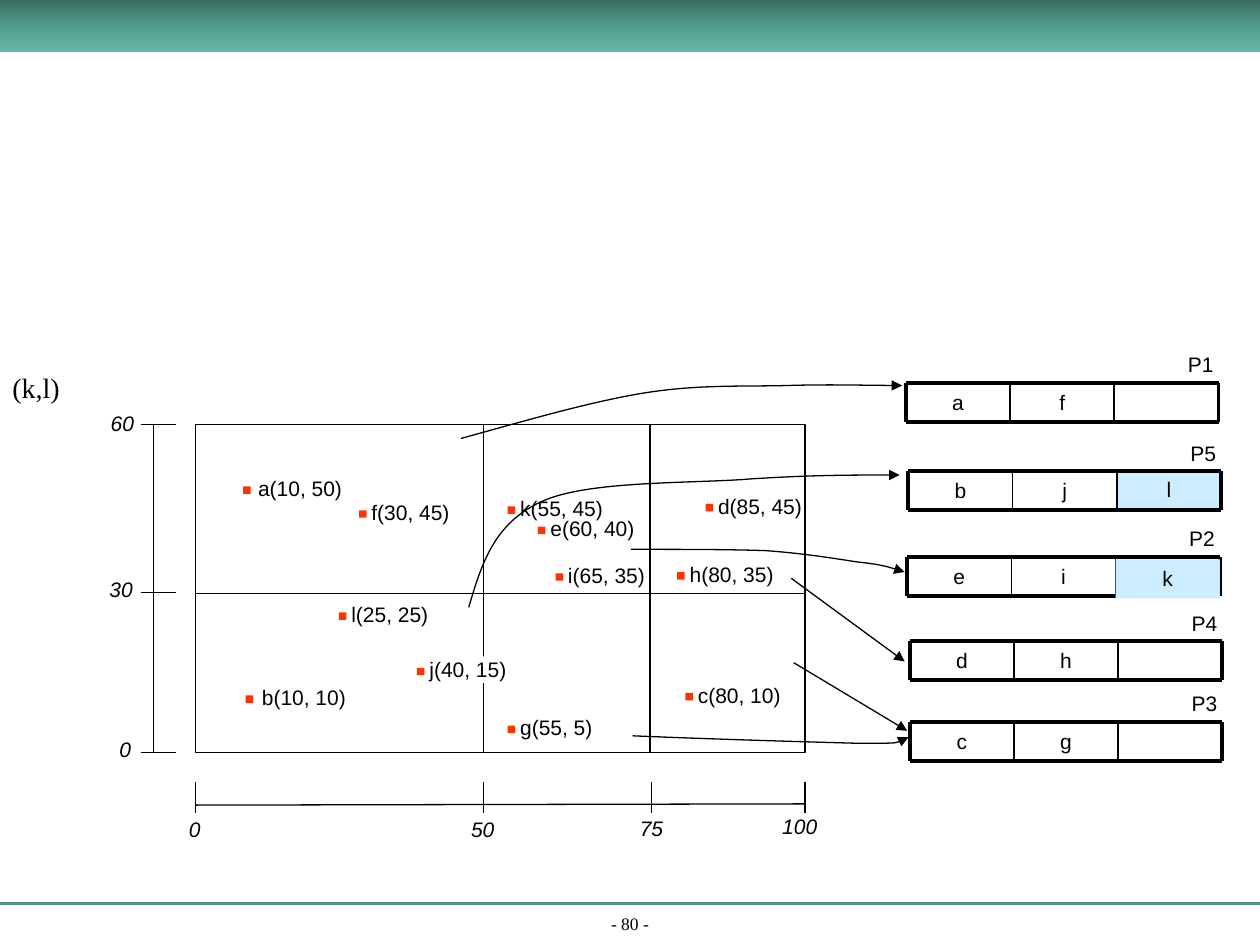
import copy
from dataclasses import dataclass

import pptx
import pptx.dml.color
import pptx.enum.dml
import pptx.enum.shapes
import pptx.enum.text
import pptx.oxml
import pptx.oxml.ns
import pptx.util

COLUMNS, ROWS = 100, 75  # every length below counts columns or rows of this grid
BLACK, WHITE, RED, SKY, TEAL = "000000", "FFFFFF", "FF3300", "CCECFF", "4C9282"
LEFT, RIGHT, TOP, BOTTOM = 15.5, 63.9, 33.7, 59.75
CELL_WIDTH, CELL_HEIGHT = 8.27, 3.1
LABEL_HEIGHT = 3

ALIGN = pptx.enum.text.PP_ALIGN
ANCHOR = pptx.enum.text.MSO_ANCHOR
RECTANGLE = pptx.enum.shapes.MSO_SHAPE.RECTANGLE

deck = pptx.Presentation()
deck.slide_width, deck.slide_height = pptx.util.Inches(10), pptx.util.Inches(7.5)
page = deck.slides.add_slide(deck.slide_layouts[6])


@dataclass
class Point:
    name: str
    column: float
    row: float
    width: float
    label_shift: float = 0


@dataclass
class Bucket:
    name: str
    column: float
    row: float
    records: str
    highlight: str = ""
    highlight_shift: float = 0
    highlight_on_top: bool = False


def across(columns: float) -> int:
    return round(deck.slide_width * columns / COLUMNS)


def down(rows: float) -> int:
    return round(deck.slide_height * rows / ROWS)


def place(column: float, row: float, width: float, height: float) -> tuple:
    return across(column), down(row), across(width), down(height)


def color(value: str) -> pptx.dml.color.RGBColor:
    return pptx.dml.color.RGBColor.from_string(value)


def add_outline(shape, width: float, value: str = BLACK, arrow: bool = False) -> None:
    shape.line.color.rgb = color(value)
    shape.line.width = pptx.util.Pt(width)
    if arrow:
        tail = pptx.oxml.parse_xml(f'<a:tailEnd {pptx.oxml.ns.nsdecls("a")} type="triangle"/>')
        shape.line._get_or_add_ln().append(tail)


def add_line(x1: float, y1: float, x2: float, y2: float, width: float = 0.75,
             value: str = BLACK, arrow: bool = False) -> None:
    line = page.shapes.add_connector(pptx.enum.shapes.MSO_CONNECTOR.STRAIGHT,
                                     across(x1), down(y1), across(x2), down(y2))
    add_outline(line, width, value, arrow)
    line._element.spPr.append(pptx.oxml.parse_xml(f'<a:effectLst {pptx.oxml.ns.nsdecls("a")}/>'))


def add_curve(points: list) -> None:
    """Draw an arrow through a start point and groups of three Bezier points."""
    (x, y), *rest = points
    builder = page.shapes.build_freeform(across(x), down(y))
    builder.add_line_segments([(across(x), down(y)) for x, y in rest], close=False)
    curve = builder.convert_to_shape()
    curve.shadow.inherit = False
    curve.fill.background()
    add_outline(curve, 0.75, arrow=True)
    segments = list(curve._element.iter(pptx.oxml.ns.qn("a:lnTo")))
    for first in range(0, len(segments), 3):
        bezier = pptx.oxml.parse_xml(f'<a:cubicBezTo {pptx.oxml.ns.nsdecls("a")}/>')
        segments[first].addprevious(bezier)
        for segment in segments[first:first + 3]:
            bezier.append(segment[0])
            segment.getparent().remove(segment)


def add_rectangle(column: float, row: float, width: float, height: float, fill: str = ""):
    box = page.shapes.add_shape(RECTANGLE, *place(column, row, width, height))
    box.shadow.inherit = False
    box.line.fill.background()
    if fill:
        box.fill.solid()
        box.fill.fore_color.rgb = color(fill)
    else:
        box.fill.background()
    return box


def write(box, text: str, size: float = 12, font: str = "Arial", italic: bool = False,
          align=ALIGN.LEFT, anchor=ANCHOR.TOP, wrap: bool = True) -> None:
    frame = box.text_frame
    frame.word_wrap, frame.vertical_anchor = wrap, anchor
    if not wrap:
        frame.auto_size = pptx.enum.text.MSO_AUTO_SIZE.SHAPE_TO_FIT_TEXT
    para = frame.paragraphs[0]
    para.alignment = align
    span = para.add_run()
    span.text = text
    span.font.color.rgb = color(BLACK)
    for name, value in {"size": pptx.util.Pt(size), "name": font, "italic": italic}.items():
        setattr(span.font, name, value)


def add_text(text: str, column: float, row: float, width: float,
             height: float = LABEL_HEIGHT, **formats) -> None:
    write(page.shapes.add_textbox(*place(column, row, width, height)), text, **formats)


def add_label(text: str, column: float, row: float, width: float, **formats) -> None:
    add_text(text, column, row, width, wrap=False, **formats)


def add_banner() -> None:
    banner = add_rectangle(0, 0, COLUMNS, 4.15)
    banner.fill.gradient()
    banner.fill.gradient_angle = 270
    stops = banner._element.spPr.find(".//" + pptx.oxml.ns.qn("a:gsLst"))
    stops.insert(1, copy.deepcopy(stops[0]))
    shades = ((0, "3A6D62"), (0.5, "539C8B"), (1, "62B9A5"))
    for stop, (position, value) in zip(banner.fill.gradient_stops, shades):
        stop.position, stop.color.rgb = position, color(value)


def add_point(point: Point) -> None:
    add_rectangle(point.column, point.row, 0.6, 0.6, RED)
    add_label(point.name, point.column + point.label_shift, point.row - 1.35, point.width)


def add_highlight(bucket: Bucket) -> None:
    box = add_rectangle(bucket.column + 2 * CELL_WIDTH, bucket.row + bucket.highlight_shift,
                        CELL_WIDTH, CELL_HEIGHT, SKY)
    write(box, bucket.highlight, align=ALIGN.CENTER)


def add_bucket(bucket: Bucket) -> None:
    left, top = bucket.column, bucket.row
    right, bottom = left + 3 * CELL_WIDTH, top + CELL_HEIGHT
    if bucket.highlight and not bucket.highlight_on_top:
        add_highlight(bucket)
    for index, record in enumerate(bucket.records):
        add_text(record, left + index * CELL_WIDTH, top, CELL_WIDTH, CELL_HEIGHT, align=ALIGN.CENTER)
    for y in (top, bottom):
        add_line(left, y, right, y, 2.25)
    for index, width in enumerate((2.25, 1, 1, 2.25)):
        x = left + index * CELL_WIDTH
        add_line(x, top, x, bottom, width)
    if bucket.highlight_on_top:
        add_highlight(bucket)
    add_label(bucket.name, left + 21.4, top - 2.95, 4.3)


POINTS = [
    Point("a(10, 50)", 19.3, 38.6, 8.8, 0.2), Point("b(10, 10)", 19.5, 55.2, 8.8, 0.3),
    Point("c(80, 10)", 54.4, 55, 8.8), Point("d(85, 45)", 56, 40, 8.8),
    Point("e(60, 40)", 42.7, 41.8, 8.8), Point("f(30, 45)", 28.5, 40.5, 8.4),
    Point("g(55, 5)", 40.3, 57.6, 8), Point("h(80, 35)", 53.75, 45.4, 8.8),
    Point("i(65, 35)", 44.1, 45.5, 8.3), Point("j(40, 15)", 33.1, 53, 8.3),
    Point("k(55, 45)", 40.3, 40.2, 8.8), Point("l(25, 25)", 26.9, 48.6, 8.3),
]
BUCKETS = [
    Bucket("P1", 71.9, 30.4, "af"),
    Bucket("P5", 72.1, 37.4, "bj", "l", -0.1),
    Bucket("P2", 72, 44.2, "ei", "k", 0.2, True),
    Bucket("P4", 72.2, 50.9, "dh"),
    Bucket("P3", 72.2, 57.3, "cg"),
]
CURVES = [
    [(36.6, 34.8), (41.7, 33.4), (46.8, 31.9), (51.1, 31.2), (55.4, 30.5), (59, 30.7),
     (62.5, 30.6), (65.9, 30.5), (68.7, 30.6), (71.6, 30.6)],
    [(37.2, 48.2), (38.2, 44.8), (39.2, 41.5), (43, 39.8), (46.7, 38.1), (55, 38.4),
     (59.7, 38), (64.5, 37.7), (67.9, 37.7), (71.4, 37.7)],
    [(50.1, 43.6), (53.9, 43.6), (57.7, 43.6), (60.7, 43.7), (63.6, 43.9), (66.1, 44.3),
     (68, 44.6), (69.9, 44.8), (70.9, 45.1), (71.8, 45.4)],
    [(50.2, 58.4), (57.4, 58.7), (64.6, 58.9), (68.3, 59), (71.9, 59), (72, 58.7), (72.1, 58.5)],
]
# Axis marks: text, tick position, then label column, row and width
HORIZONTAL_MARKS = [("0", LEFT, 14, 64.3, 3), ("50", 38.4, 36.4, 64.3, 4),
                    ("75", 51.7, 49.8, 64.2, 4), ("100", RIGHT, 61.1, 64.1, 4.9)]
VERTICAL_MARKS = [("60", TOP, 7.8, 32.1, 4), ("30", 47, 7.7, 45.3, 4),
                  ("0", BOTTOM, 8.5, 58, 3)]


def main() -> None:
    add_line(0, 71.7, COLUMNS, 71.7, 1.5, TEAL)
    add_text("- 80 -", 0, 72.4, COLUMNS, 2.2, size=10, font="Times New Roman",
             align=ALIGN.CENTER, anchor=ANCHOR.BOTTOM)
    add_banner()
    add_label("(k,l)", 0, 28.9, 5.9, size=16, font="Times New Roman")

    add_line(LEFT, 63.9, RIGHT, 63.8)
    add_line(12.2, TOP, 12.2, BOTTOM)
    for text, x, *label in HORIZONTAL_MARKS:
        add_line(x, 62.05, x, 64.55)
        add_label(text, *label, italic=True)
    for text, y, *label in VERTICAL_MARKS:
        add_line(11.2, y, 14, y)
        add_label(text, *label, italic=True)

    add_outline(add_rectangle(LEFT, TOP, RIGHT - LEFT, BOTTOM - TOP), 0.75)
    for x in (38.4, 51.6):
        add_line(x, TOP, x, BOTTOM)
    add_line(LEFT, 47.1, RIGHT, 47.1)
    add_rectangle(38, 52.1, 1, 2.1, WHITE)

    for point in POINTS:
        add_point(point)
    for bucket in BUCKETS:
        add_bucket(bucket)
    for curve in CURVES:
        add_curve(curve)
    add_line(62.8, 45.9, 71.8, 52.5, arrow=True)
    add_line(63, 52.6, 72, 58, arrow=True)
    deck.save("out.pptx")


if __name__ == "__main__":
    main()
